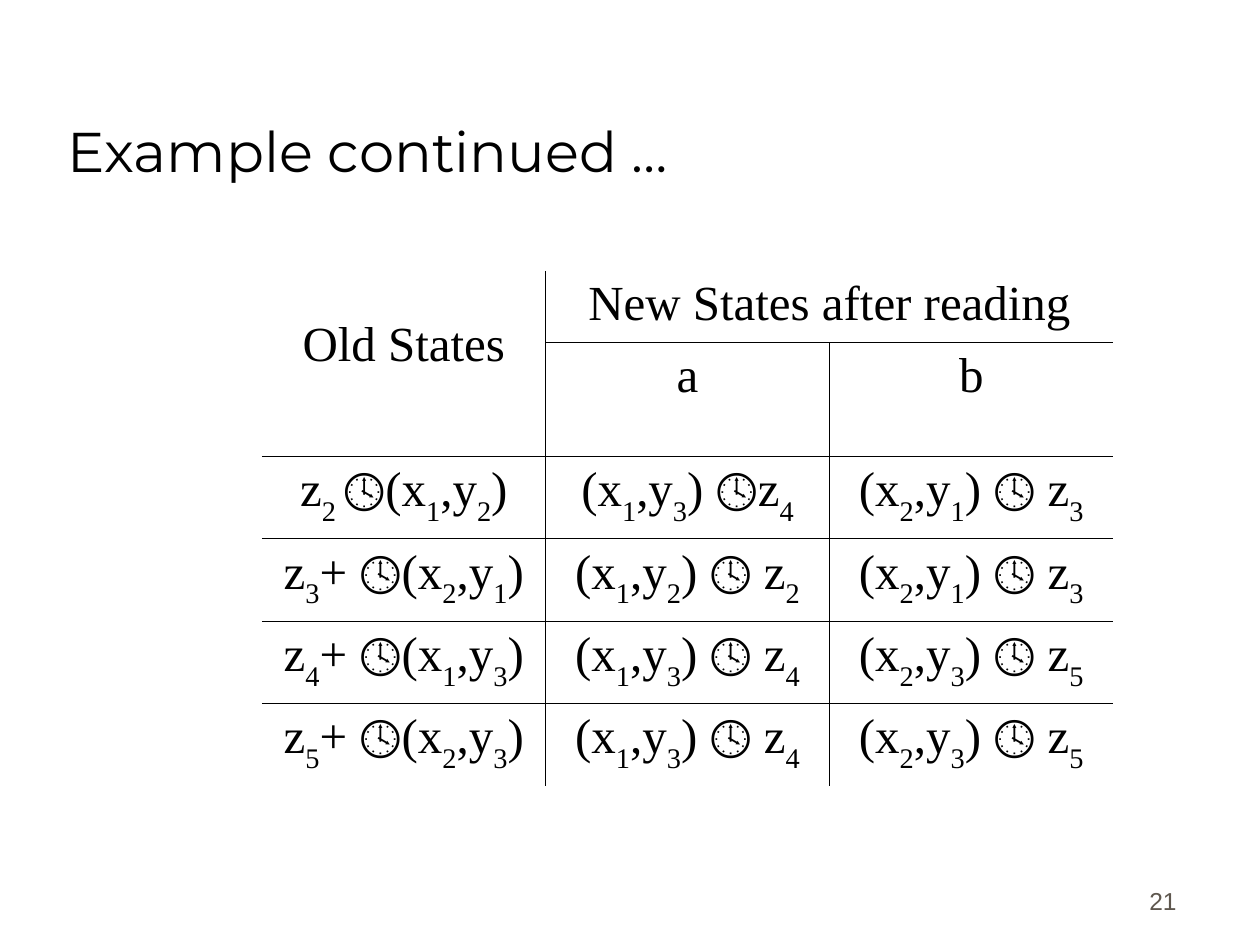
"""Build the state transition table slide."""
from dataclasses import dataclass
from itertools import groupby

from lxml import etree
from pptx import Presentation
from pptx.dml.color import RGBColor
from pptx.enum.text import MSO_ANCHOR, PP_ALIGN
from pptx.oxml.ns import qn
from pptx.util import Cm, Pt

BOTTOM = MSO_ANCHOR.BOTTOM
LEFT, CENTER, RIGHT = PP_ALIGN.LEFT, PP_ALIGN.CENTER, PP_ALIGN.RIGHT
CLOCK = "🕓"
PLAIN_TABLE = "{2D5ABB26-0587-4C30-8999-92F81FD0307C}"

HEADERS = [["Old States", "New States after reading", ""], ["", "a", "b"]]
TRANSITIONS = [
    ["z2 🕓(x1,y2)", "(x1,y3) 🕓z4", "(x2,y1) 🕓 z3"],
    ["z3+ 🕓(x2,y1)", "(x1,y2) 🕓 z2", "(x2,y1) 🕓 z3"],
    ["z4+ 🕓(x1,y3)", "(x1,y3) 🕓 z4", "(x2,y3) 🕓 z5"],
    ["z5+ 🕓(x2,y3)", "(x1,y3) 🕓 z4", "(x2,y3) 🕓 z5"],
]
MERGES = [((0, 0), (1, 0)), ((0, 1), (0, 2))]
COLUMN_WIDTHS = [5.72] * 3
ROW_HEIGHTS = [1.45, 2.29] + [1.66] * len(TRANSITIONS)


@dataclass(frozen=True)
class Theme:
    ink: str = "000000"
    muted: str = "5E574E"
    title_font: str = "Montserrat"
    table_font: str = "Times New Roman"
    symbol_font: str = "Cambria"
    number_font: str = "Arial"
    title_size: int = 32
    table_size: int = 28
    number_size: int = 14
    rule_width: float = 0.45


def character_kind(pair):
    before, char = pair
    if char == CLOCK:
        return "symbol"
    return "subscript" if (before + char).strip()[-1:].isdigit() else "body"


class SlideBuilder:
    def __init__(self, page, theme):
        self.page = page
        self.theme = theme

    def style(self, span, font, size, color):
        span.font.name = font
        span.font.size = Pt(size)
        span.font.color.rgb = RGBColor.from_string(color)

    def text(self, words, bounds, font, size, color, align):
        box = self.page.shapes.add_textbox(*map(Cm, bounds))
        frame = box.text_frame
        frame.word_wrap = True
        frame.vertical_anchor = BOTTOM
        frame.text = words
        para = frame.paragraphs[0]
        para.alignment = align
        self.style(para.runs[0], font, size, color)

    def formula(self, para, words):
        theme = self.theme
        para.alignment = CENTER
        for kind, pairs in groupby(zip(" " + words, words), character_kind):
            span = para.add_run()
            span.text = "".join(char for _, char in pairs)
            font = theme.symbol_font if kind == "symbol" else theme.table_font
            self.style(span, font, theme.table_size, theme.ink)
            if kind == "subscript":
                span.font._element.set("baseline", "-30000")

    def borders(self, cell, visible):
        properties = cell._tc.get_or_add_tcPr()
        for side, shown in visible.items():
            line = etree.SubElement(properties, qn(f"a:ln{side}"),
                                    w=str(Pt(self.theme.rule_width)))
            if shown:
                fill = etree.SubElement(line, qn("a:solidFill"))
                etree.SubElement(fill, qn("a:srgbClr"), val=self.theme.ink)
            else:
                etree.SubElement(line, qn("a:noFill"))

    def table(self, rows, left, top, widths, heights, merges):
        frame = self.page.shapes.add_table(
            len(rows), len(widths), Cm(left), Cm(top),
            Cm(sum(widths)), Cm(sum(heights)))
        table = frame.table
        table.first_row = table.horz_banding = False
        table._tbl.tblPr.find(qn("a:tableStyleId")).text = PLAIN_TABLE
        for column, width in zip(table.columns, widths):
            column.width = Cm(width)
        for row, height in zip(table.rows, heights):
            row.height = Cm(height)
        for first, last in merges:
            table.cell(*first).merge(table.cell(*last))
        for row, entries in enumerate(rows):
            for column, words in enumerate(entries):
                cell = table.cell(row, column)
                if cell.is_spanned:
                    continue
                self.borders(cell, {
                    "L": column > 0,
                    "R": column + cell.span_width < len(widths),
                    "T": row > 0,
                    "B": row + cell.span_height < len(rows),
                })
                cell.fill.background()
                self.formula(cell.text_frame.paragraphs[0], words)
        return table


def main():
    deck = Presentation()
    deck.slide_width, deck.slide_height = Cm(25.4), Cm(19.05)
    theme = Theme()
    builder = SlideBuilder(deck.slides.add_slide(deck.slide_layouts[6]), theme)
    builder.text("21", (18.69, 17.3, 5.28, 1.27), theme.number_font,
                 theme.number_size, theme.muted, RIGHT)
    builder.text("Example continued …", (1.12, 0.64, 21.59, 3.18),
                 theme.title_font, theme.title_size, theme.ink, LEFT)
    table = builder.table(HEADERS + TRANSITIONS, 5.28, 5.46,
                          COLUMN_WIDTHS, ROW_HEIGHTS, MERGES)
    table.cell(0, 0).margin_top = Cm(0.94)
    deck.save("out.pptx")


if __name__ == "__main__":
    main()
